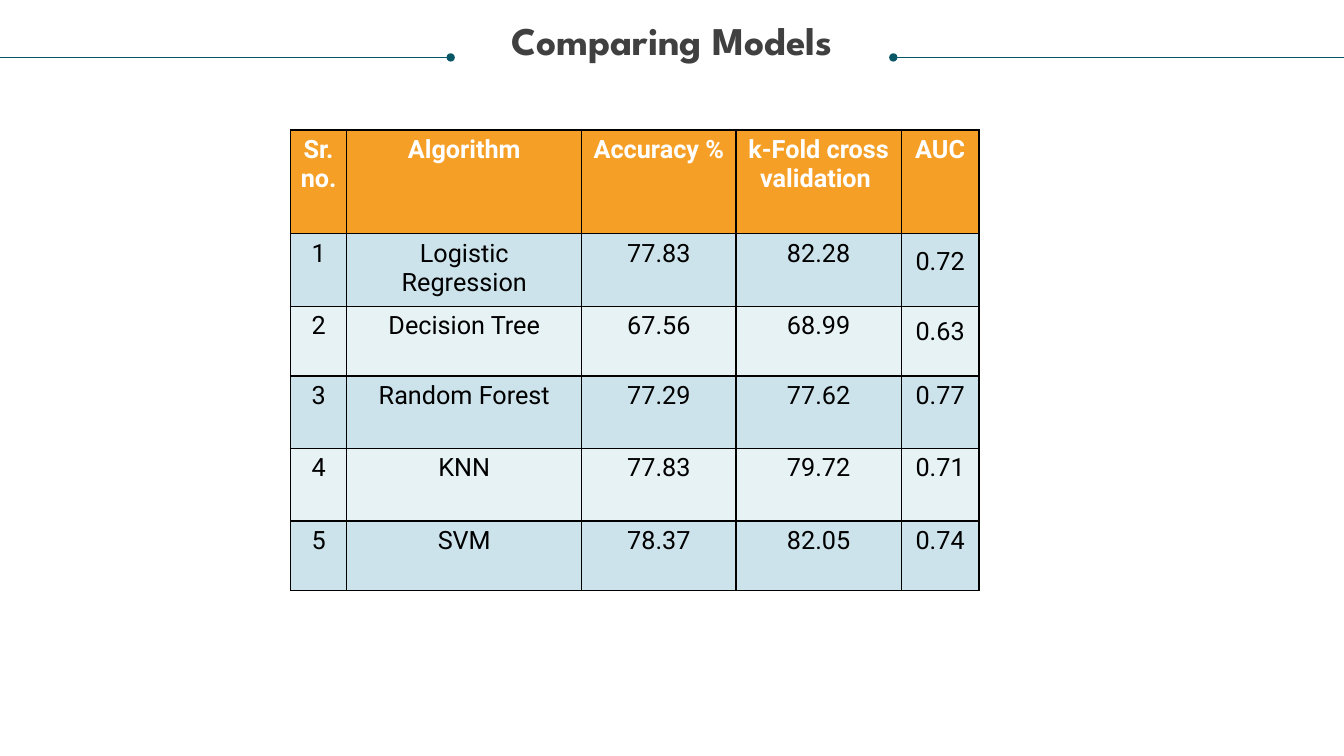
from lxml import etree
from pptx import Presentation
from pptx.dml.color import RGBColor
from pptx.enum.shapes import MSO_CONNECTOR
from pptx.enum.text import MSO_ANCHOR, PP_ALIGN
from pptx.oxml.ns import qn
from pptx.util import Inches, Pt

CENTER = PP_ALIGN.CENTER
BOTTOM = MSO_ANCHOR.BOTTOM
STRAIGHT = MSO_CONNECTOR.STRAIGHT

WIDE, HIGH = 13.33, 7.5
COLS = [0.56, 2.33, 1.53, 1.64, 0.77]
ROWS = [1.03, 0.72, 0.69, 0.72, 0.72, 0.69]
COLORS = {"head": "F59F26", "odd": "CCE3EB", "even": "E7F2F5", "rule": "085764",
          "title": "404040", "black": "000000", "white": "FFFFFF"}
MODELS = [
    ("Sr. no.", "Algorithm", "Accuracy %", "k-Fold cross validation ", "AUC"),
    ("1", "Logistic Regression", "77.83", "82.28", "0.72"),
    ("2", "Decision Tree", "67.56", "68.99", "0.63"),
    ("3", "Random Forest", "77.29", "77.62", "0.77"),
    ("4", "KNN", "77.83", "79.72", "0.71"),
    ("5", "SVM", "78.37", "82.05", "0.74"),
]
RAISED = {(1, 4), (2, 4)}  # cells set from the bottom edge


def rgb(name):
    return RGBColor.from_string(COLORS[name])


def add_run(frame, text, font, size, color, bold):
    para = frame.paragraphs[0]
    para.alignment = CENTER
    run = para.add_run()
    run.text = text
    run.font.name, run.font.size, run.font.bold = font, Pt(size), bold
    run.font.color.rgb = rgb(color)
    return para


def add_edges(cell):
    props = cell._tc.get_or_add_tcPr()
    for side in ("lnL", "lnR", "lnT", "lnB"):
        line = etree.SubElement(props, qn("a:" + side), w=str(Pt(1)))
        fill = etree.SubElement(line, qn("a:solidFill"))
        etree.SubElement(fill, qn("a:srgbClr"), val=COLORS["black"])


def add_grid(slide, left, top):
    frame = slide.shapes.add_table(len(ROWS), len(COLS), Inches(left), Inches(top),
                                   Inches(sum(COLS)), Inches(sum(ROWS)))
    table = frame.table
    for col, width in zip(table.columns, COLS):
        col.width = Inches(width)
    for row, height in zip(table.rows, ROWS):
        row.height = Inches(height)
    for r, texts in enumerate(MODELS):
        band = "head" if r == 0 else "odd" if r % 2 else "even"
        for c, text in enumerate(texts):
            cell = table.cell(r, c)
            add_edges(cell)
            cell.fill.solid()
            cell.fill.fore_color.rgb = rgb(band)
            ink = "black" if r else "white"
            add_run(cell.text_frame, text, "Roboto", 18, ink, r == 0)
            if (r, c) in RAISED:
                cell.vertical_anchor = BOTTOM
                cell.margin_left = cell.margin_right = cell.margin_top = Inches(0.01)
                cell.margin_bottom = Inches(0.29)


def add_title(slide, text):
    box = slide.shapes.add_textbox(Inches(0.25), Inches(0.21), Inches(WIDE - 0.5), Inches(0.85))
    frame = box.text_frame
    frame.word_wrap = True
    frame.margin_left = frame.margin_right = frame.margin_top = frame.margin_bottom = 0
    add_run(frame, text, "League Spartan", 28, "title", True).line_spacing = 0.9


def add_rule(slide, start, end, dot):
    y = Inches(0.57)
    rule = slide.shapes.add_connector(STRAIGHT, Inches(start), y, Inches(end), y)
    rule.line.color.rgb = rgb("rule")
    rule.line.width = Pt(0.5)
    etree.SubElement(rule.line._get_or_add_ln(), qn("a:" + dot), type="oval")
    etree.SubElement(rule._element.spPr, qn("a:effectLst"))


def main():
    deck = Presentation()
    deck.slide_width, deck.slide_height = Inches(WIDE), Inches(HIGH)
    slide = deck.slides.add_slide(deck.slide_layouts[6])
    # Table of scores
    add_grid(slide, 2.88, 1.29)
    # Title between two dotted rules
    add_title(slide, "Comparing Models")
    reach = 4.47
    add_rule(slide, 0, reach, "tailEnd")
    add_rule(slide, WIDE - reach, WIDE, "headEnd")
    deck.save("out.pptx")


if __name__ == "__main__":
    main()
